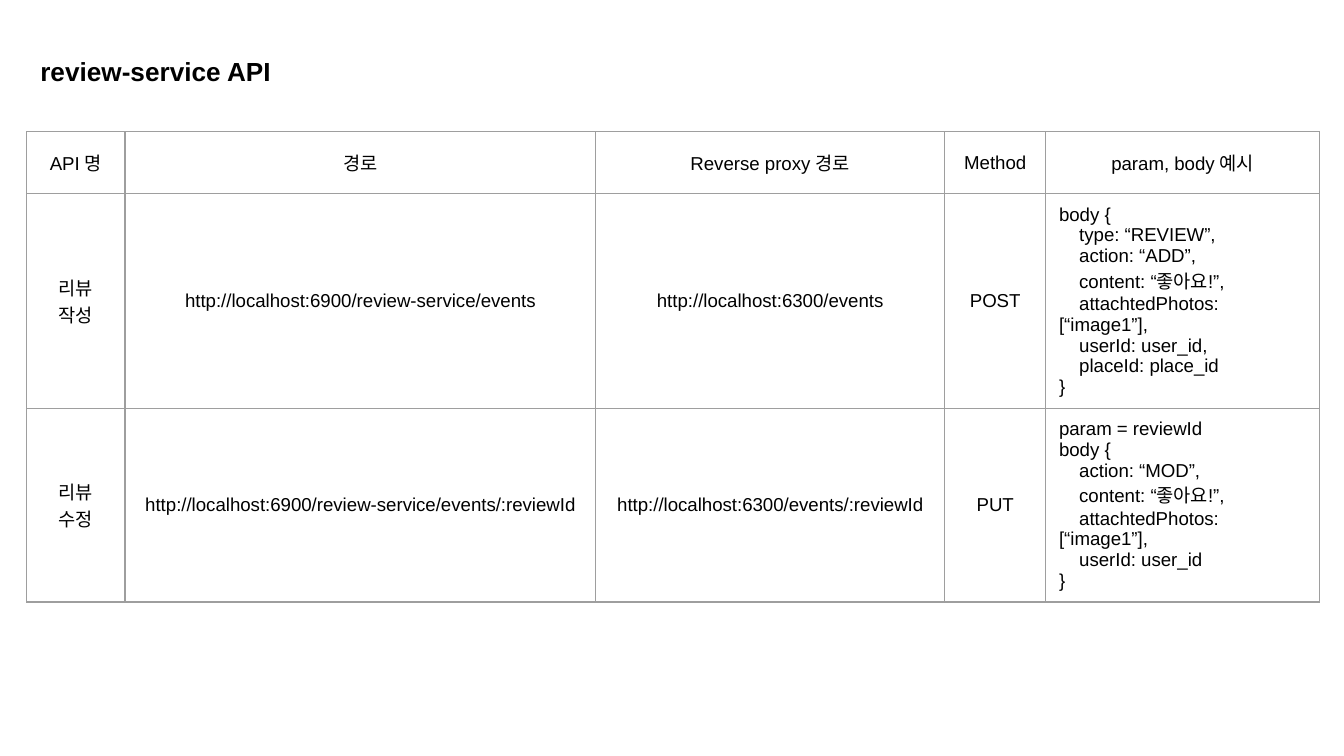
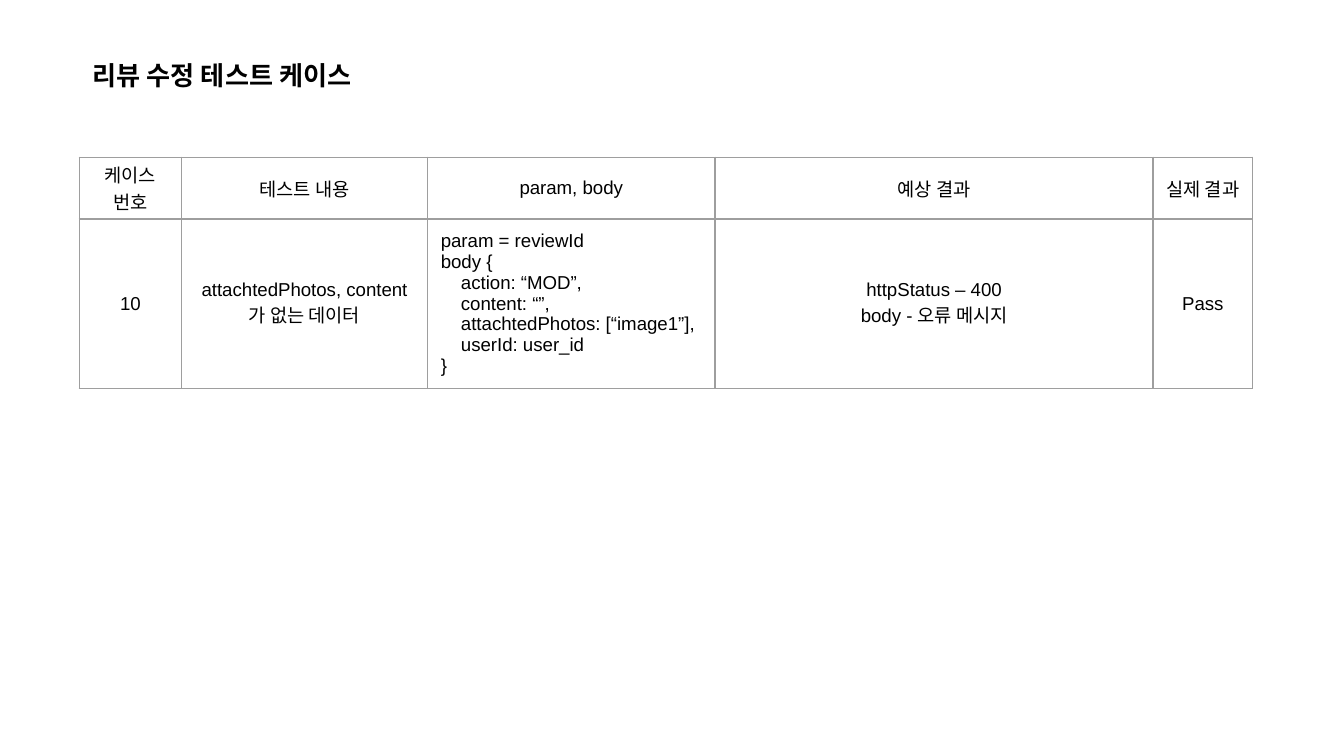
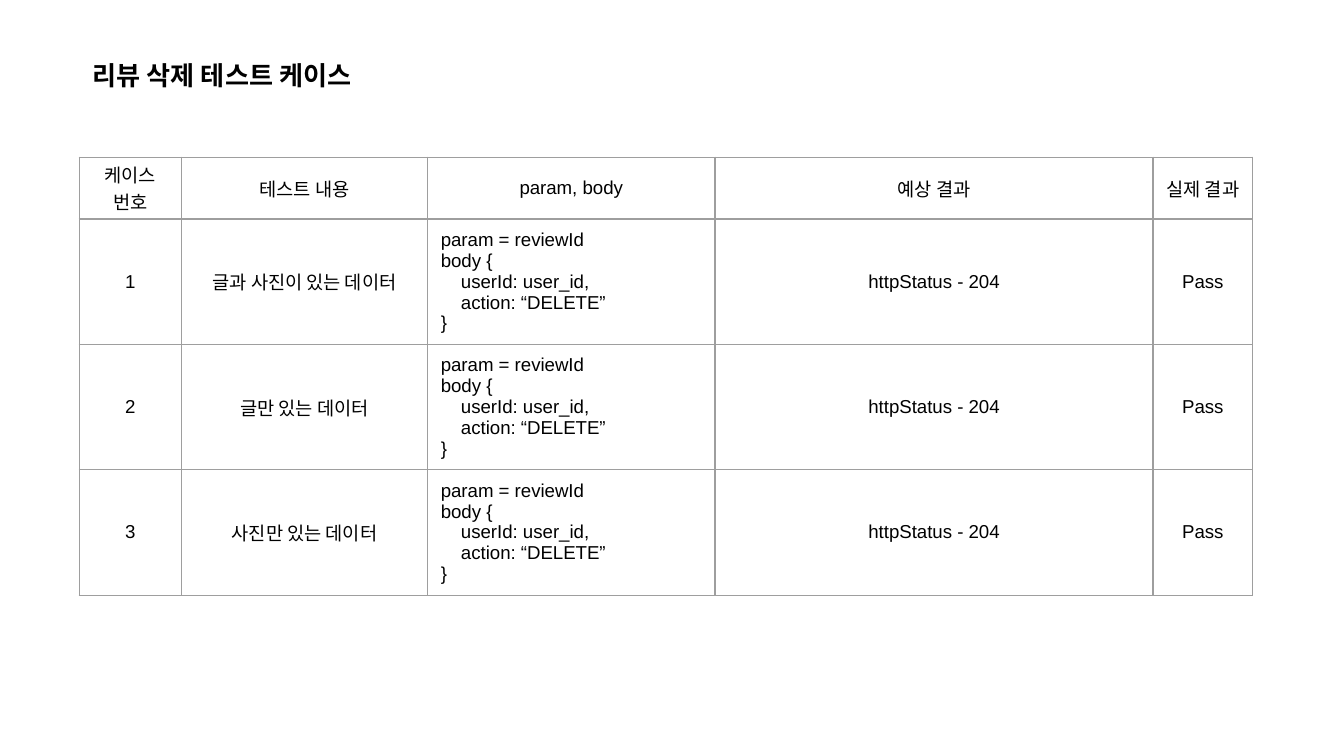
from lxml.etree import SubElement
from pptx import Presentation
from pptx.dml.color import RGBColor
from pptx.enum.text import MSO_ANCHOR, MSO_AUTO_SIZE, PP_ALIGN
from pptx.oxml.ns import qn
from pptx.util import Inches, Pt

BLACK = RGBColor(0x00, 0x00, 0x00)
GRAY = RGBColor(0x9E, 0x9E, 0x9E)
FONT = "Arial"
SLIDE_W = Inches(10)
SLIDE_H = SLIDE_W * 9 // 16
TITLE_W, TITLE_H = 3.9, 0.44
HEADER_H = 0.46
PAD_X, PAD_Y = 0.1, 0.03
CODE_INDENT = 0.15

API_HEAD = ["API 명", "경로", "Reverse proxy 경로", "Method", "param, body 예시"]
API_COLS = [0.73, 3.5, 2.6, 0.75, 2.04]
CASE_HEAD = ["케이스 번호", "테스트 내용", "param, body", "예상 결과", "실제 결과"]
CASE_COLS = [0.76, 1.83, 2.14, 3.26, 0.74]

ADD_BODY = ["body {", "\ttype: “REVIEW”,", "\taction: “ADD”,", "\tcontent: “좋아요!”,",
            "\tattachtedPhotos:[“image1”],", "\tuserId: user_id,",
            "\tplaceId: place_id", "}"]
DELETE_BODY = ["param = reviewId", "body {", "\tuserId: user_id,",
               "\taction: “DELETE”", "}"]


def modify_body(content):
    return ["param = reviewId", "body {", "\taction: “MOD”,", f"\tcontent: “{content}”,",
            "\tattachtedPhotos: [“image1”],", "\tuserId: user_id", "}"]


def write(tf, lines, size=10, bold=False, align=PP_ALIGN.CENTER):
    """Write one paragraph per line; a leading tab marks an indented first line."""
    for i, line in enumerate(lines):
        p = tf.add_paragraph() if i else tf.paragraphs[0]
        p.alignment = align
        if line.startswith("\t"):
            pPr = p._p.get_or_add_pPr()
            pPr.set("marL", "0")
            pPr.set("indent", str(Inches(CODE_INDENT)))
        r = p.add_run()
        r.text = line.strip()
        r.font.size, r.font.bold, r.font.name = Pt(size), bold, FONT
        r.font.color.rgb = BLACK


def set_borders(cell):
    tcPr = cell._tc.get_or_add_tcPr()
    for i, side in enumerate(("lnL", "lnR", "lnT", "lnB")):
        ln = tcPr.makeelement(qn(f"a:{side}"), {"w": str(Pt(0.75))})
        fill = SubElement(ln, qn("a:solidFill"))
        SubElement(fill, qn("a:srgbClr"), val=str(GRAY))
        tcPr.insert(i, ln)


def add_title(slide, text, left, top):
    sp = slide.shapes.title
    sp.left, sp.top = Inches(left), Inches(top)
    sp.width, sp.height = Inches(TITLE_W), Inches(TITLE_H)
    tf = sp.text_frame
    tf.word_wrap = True
    tf.auto_size = MSO_AUTO_SIZE.SHAPE_TO_FIT_TEXT
    tf.vertical_anchor = MSO_ANCHOR.TOP
    tf.margin_left = tf.margin_right = tf.margin_top = tf.margin_bottom = Inches(0.1)
    write(tf, [text], size=14, bold=True, align=PP_ALIGN.LEFT)


def add_grid(slide, left, top, cols, heights, rows):
    """Add a bordered table; a cell holding code lines is justified."""
    frame = slide.shapes.add_table(len(rows), len(cols), Inches(left), Inches(top),
                                   Inches(sum(cols)), Inches(sum(heights)))
    table = frame.table
    table.first_row = table.horz_banding = False
    for column, width in zip(table.columns, cols):
        column.width = Inches(width)
    for row, height, values in zip(table.rows, heights, rows):
        row.height = Inches(height)
        for cell, value in zip(row.cells, values):
            lines = [value] if isinstance(value, str) else value
            is_code = lines[-1] == "}"
            cell.fill.background()
            set_borders(cell)
            cell.vertical_anchor = MSO_ANCHOR.MIDDLE
            cell.margin_left = cell.margin_right = Inches(PAD_X)
            cell.margin_top = cell.margin_bottom = Inches(PAD_Y)
            write(cell.text_frame, lines,
                  align=PP_ALIGN.JUSTIFY if is_code else PP_ALIGN.CENTER)


def new_slide(prs):
    return prs.slides.add_slide(prs.slide_layouts[5])


def add_api_slide(prs):
    slide = new_slide(prs)
    add_title(slide, "review-service API", 0.2, 0.31)
    paths = [("리뷰 작성", "events", "POST", ADD_BODY),
             ("리뷰 수정", "events/:reviewId", "PUT", modify_body("좋아요!"))]
    rows = [[name, f"http://localhost:6900/review-service/{path}",
             f"http://localhost:6300/{path}", method, body]
            for name, path, method, body in paths]
    add_grid(slide, 0.2, 0.98, API_COLS, [HEADER_H, 1.6, 1.44], [API_HEAD] + rows)


def add_case_slide(prs, title, table_h, cases):
    slide = new_slide(prs)
    add_title(slide, title, 0.59, 0.34)
    rows = [[*case, "Pass"] for case in cases]
    row_h = (table_h - HEADER_H) / len(rows)
    add_grid(slide, 0.59, 1.17, CASE_COLS, [HEADER_H] + [row_h] * len(rows),
             [CASE_HEAD] + rows)


def main():
    prs = Presentation()
    prs.slide_width, prs.slide_height = SLIDE_W, SLIDE_H
    add_api_slide(prs)
    add_case_slide(prs, "리뷰 수정 테스트 케이스", 1.72, [
        ("10", "attachtedPhotos, content가 없는 데이터", modify_body(""),
         ["httpStatus – 400", "body - 오류 메시지"])])
    contents = ["글과 사진이 있는 데이터", "글만 있는 데이터", "사진만 있는 데이터"]
    add_case_slide(prs, "리뷰 삭제 테스트 케이스", 3.26, [
        (str(number), content, DELETE_BODY, "httpStatus - 204")
        for number, content in enumerate(contents, 1)])
    prs.save("out.pptx")


if __name__ == "__main__":
    main()
